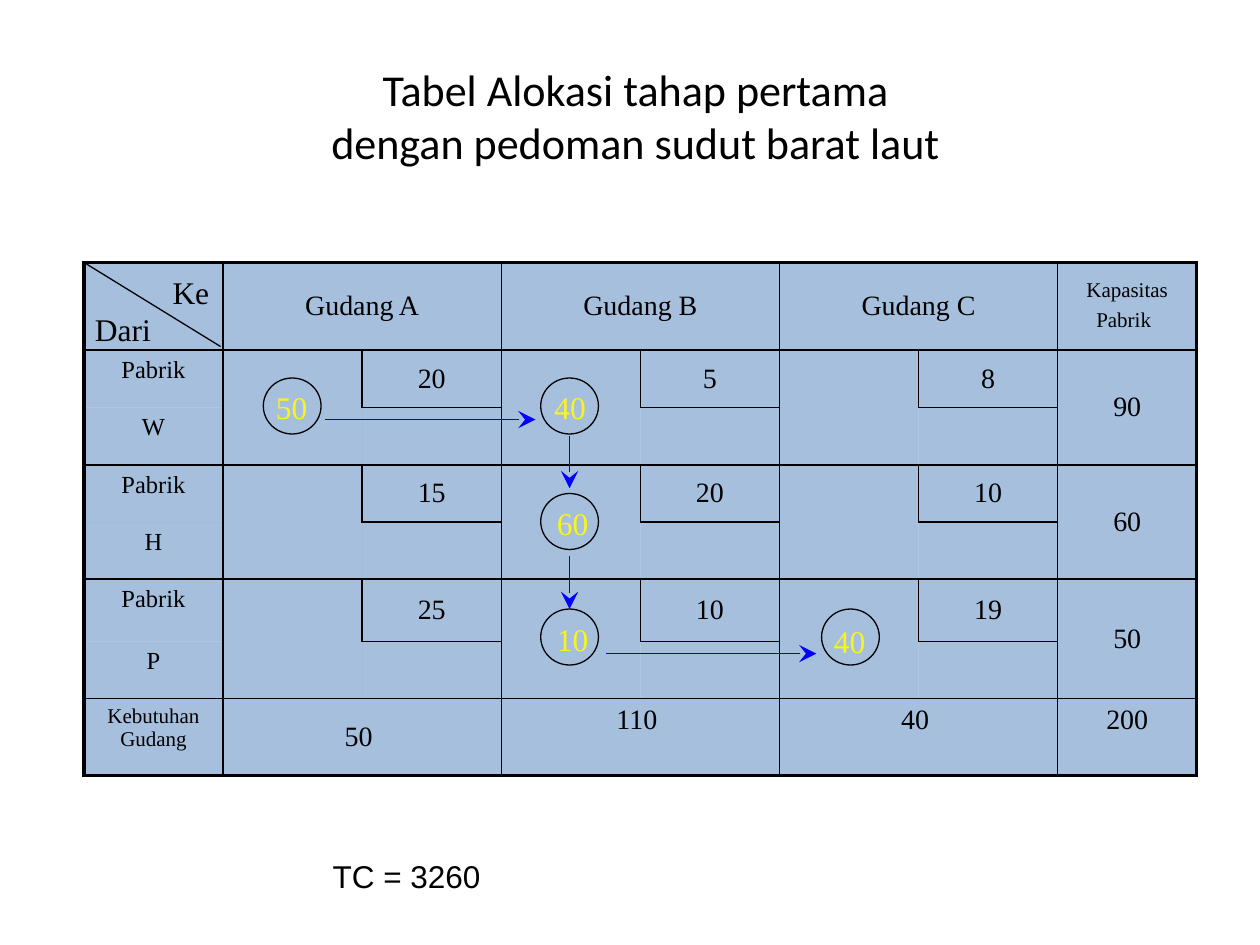
from lxml.etree import SubElement
from pptx import Presentation
from pptx.dml.color import RGBColor
from pptx.enum.shapes import MSO_CONNECTOR as CONN, MSO_SHAPE as SHAPE
from pptx.enum.text import MSO_ANCHOR as ANCHOR, MSO_AUTO_SIZE as AUTO, PP_ALIGN as ALIGN
from pptx.oxml.ns import qn
from pptx.util import Pt

COLORS = {"ink": "000000", "cell": "4F81BD", "arrow": "0000FF", "amount": "F9F421"}
SERIF = "Times New Roman"
TITLE = "Tabel Alokasi tahap pertama \vdengan pedoman sudut barat laut "
TOTAL_COST = "TC = 3260"

HEADER = ["", "Gudang A", "", "Gudang B", "", "Gudang C", "", "Kapasitas Pabrik"]
PLANTS = [
    ("W", ["20", "5", "8"], "90"),
    ("H", ["15", "20", "10"], "60"),
    ("P", ["25", "10", "19"], "50"),
]
DEMAND = ["Kebutuhan Gudang", "50 ", "", "110 ", "", "40 ", "", "200"]
ROW_HEIGHTS = [50, 33, 32.7, 32.7, 32.5, 35.7, 32.5, 44.2]
COL_WIDTH, TABLE_LEFT, TABLE_TOP = 79.5, 48, 150
THICK, THIN = 2.25, 1

ALLOCATIONS = [
    ("50", (150.5, 216), (157.7, 221.8)),
    ("40", (309, 216), (316.8, 221.8)),
    ("60", (309, 282), (318.2, 288)),
    ("10", (309, 348), (318.2, 354.2)),
    ("40", (469.5, 348), (476.6, 355.7)),
]
ARROWS = [
    (186, 239.8, 306, 239.8),
    (346.3, 373.5, 466.5, 373.5),
    (325.5, 249, 325.5, 279),
    (325.5, 318, 325.5, 348),
]
CORNER_LABELS = [("Ke", 93.6, 156.2, 31), ("Dari", 46.8, 177.1, 46.8)]


def rgb(name):
    return RGBColor.from_string(COLORS[name])


def set_all(obj, **values):
    for name, value in values.items():
        setattr(obj, name, value)


def style_font(font, size, color="ink", name=SERIF):
    set_all(font, size=Pt(size), name=name)
    font.color.rgb = rgb(color)


def add_text(shapes, text, x, y, w, h, size=18, color="ink", name=SERIF, align=None, inset=0):
    tf = shapes.add_textbox(Pt(x), Pt(y), Pt(w), Pt(h)).text_frame
    set_all(tf, word_wrap=True, auto_size=AUTO.SHAPE_TO_FIT_TEXT)
    for side in ("left", "right", "top", "bottom"):
        setattr(tf, f"margin_{side}", Pt(inset / 2 if side in ("top", "bottom") else inset))
    p = tf.paragraphs[0]
    p.alignment = align
    r = p.add_run()
    r.text = text
    style_font(r.font, size, color, name)


def add_line(shapes, x1, y1, x2, y2, color, arrow=False):
    line = shapes.add_connector(CONN.STRAIGHT, Pt(x1), Pt(y1), Pt(x2), Pt(y2))
    line.line.color.rgb = rgb(color)
    line.line.width = Pt(0.75)
    if arrow:
        SubElement(line.line._get_or_add_ln(), qn("a:tailEnd"), type="stealth", w="lg", len="lg")
    SubElement(line._element.spPr, qn("a:effectLst"))


def set_borders(cell, widths):
    tcPr = cell._tc.get_or_add_tcPr()
    for index, (side, width) in enumerate(widths.items()):
        ln = tcPr.makeelement(qn(f"a:ln{side}"), {"w": str(int(Pt(width or THIN)))})
        if width:
            SubElement(SubElement(ln, qn("a:solidFill")), qn("a:srgbClr"), val=COLORS["ink"])
        else:
            SubElement(ln, qn("a:noFill"))
        tcPr.insert(index, ln)


def border_widths(row, col):
    upper, lower = row in (1, 3, 5), row in (2, 4, 6)
    amount, cost = col in (1, 3, 5), col in (2, 4, 6)
    return {
        "L": THICK if col == 0 else None if cost and not upper else THIN,
        "R": THICK if col == 7 else None if amount and (upper or lower) else THIN,
        "T": THICK if row == 0 else None if lower and not cost else THIN,
        "B": THICK if row == 7 else None if upper and col == 0 else THIN,
    }


def fill_cell(cell, text, row, col):
    cell.fill.solid()
    cell.fill.fore_color.rgb = rgb("cell")
    clr = cell._tc.tcPr.find(f".//{qn('a:srgbClr')}")
    SubElement(clr, qn("a:alpha"), val="50000")
    set_borders(cell, border_widths(row, col))
    if not text:
        return
    top = col == 0 or (row == 7 and col > 1)
    cell.vertical_anchor = ANCHOR.TOP if top else ANCHOR.MIDDLE
    small = (row, col) in ((0, 7), (7, 0))
    p = cell.text_frame.paragraphs[0]
    p.alignment = ALIGN.CENTER
    r = p.add_run()
    r.text = text
    style_font(r.font, 12 if small else 14 if col == 0 else 16)
    if (row, col) == (0, 7):
        r = p.add_run()
        r.text = " "
        style_font(r.font, 16)


def add_cost_table(s):
    rows = [HEADER]
    for plant, costs, capacity in PLANTS:
        rows.append(["Pabrik"] + [t for cost in costs for t in ("", cost)] + [capacity])
        rows.append([plant] + [""] * 7)
    rows.append(DEMAND)
    table = s.shapes.add_table(8, 8, Pt(TABLE_LEFT), Pt(TABLE_TOP),
                               Pt(COL_WIDTH * 8), Pt(sum(ROW_HEIGHTS))).table
    set_all(table, first_row=False, horz_banding=False)
    for column in table.columns:
        column.width = Pt(COL_WIDTH)
    for row, height in zip(table.rows, ROW_HEIGHTS):
        row.height = Pt(height)
    for i, texts in enumerate(rows):
        for j, text in enumerate(texts):
            fill_cell(table.cell(i, j), text, i, j)
    for i in (0, 7):
        for j in (1, 3, 5):
            table.cell(i, j).merge(table.cell(i, j + 1))
    for i in (1, 3, 5):
        for j in (1, 3, 5, 7):
            table.cell(i, j).merge(table.cell(i + 1, j))


def main():
    prs = Presentation()
    set_all(prs, slide_width=Pt(720), slide_height=Pt(540))
    s = prs.slides.add_slide(prs.slide_layouts[5])

    title = s.shapes.title
    set_all(title, left=Pt(36), top=Pt(38), width=Pt(660), height=Pt(55.5))
    tf = title.text_frame
    tf.text = TITLE
    set_all(tf, auto_size=AUTO.NONE, word_wrap=True, vertical_anchor=ANCHOR.MIDDLE)
    p = tf.paragraphs[0]
    p.alignment = ALIGN.CENTER
    for r in p.runs:
        style_font(r.font, 25.2, name="Calibri")

    add_cost_table(s)

    for _, (x, y), _ in ALLOCATIONS:
        sp = s.shapes.add_shape(SHAPE.OVAL, Pt(x), Pt(y), Pt(33), Pt(32))
        sp.shadow.inherit = False
        sp.fill.background()
        sp.line.color.rgb = rgb("ink")
        sp.line.width = Pt(0.75)
    for ends in ARROWS:
        add_line(s.shapes, *ends, "arrow", arrow=True)

    corner = s.shapes.add_group_shape().shapes
    add_line(corner, TABLE_LEFT, TABLE_TOP, 126, 198, "ink")
    for text, x, y, w in CORNER_LABELS:
        add_text(corner, text, x, y, w, 21.6, align=ALIGN.CENTER)

    for amount, _, (x, y) in ALLOCATIONS:
        add_text(s.shapes, amount, x, y, 30, 21.6, color="amount")
    add_text(s.shapes, TOTAL_COST, 183, 486, 123, 29, name="Arial", inset=7.2)

    prs.save("out.pptx")


if __name__ == "__main__":
    main()
